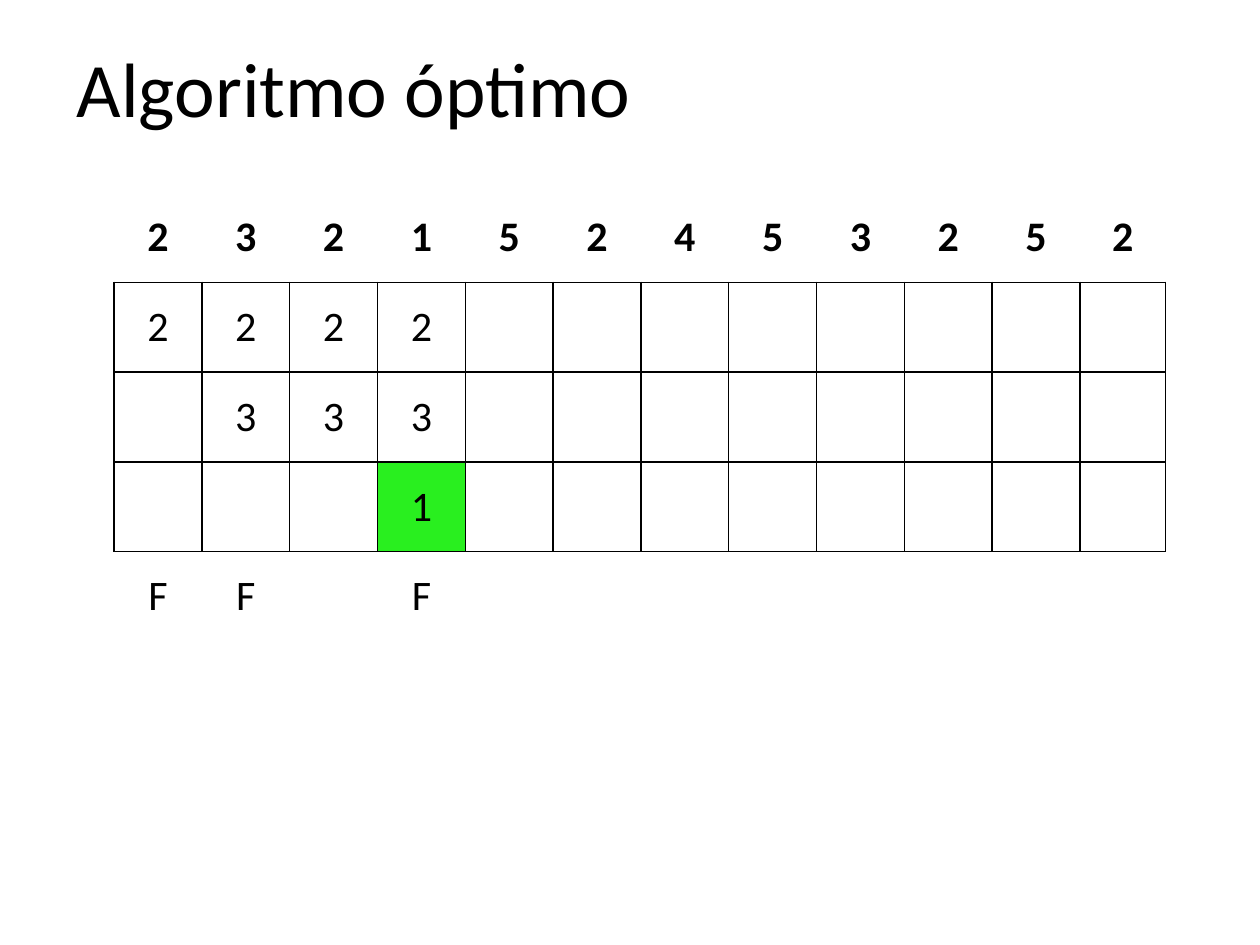
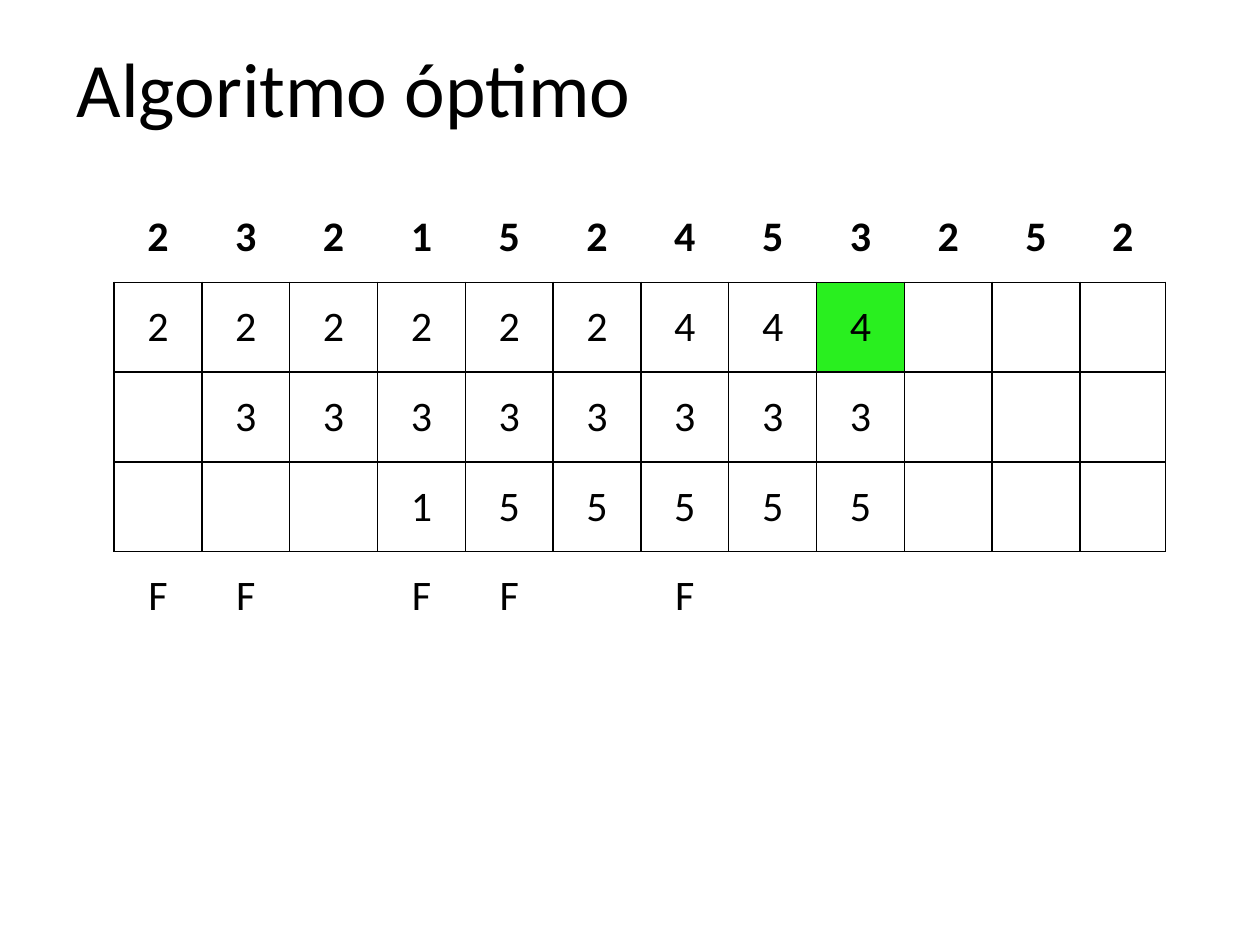
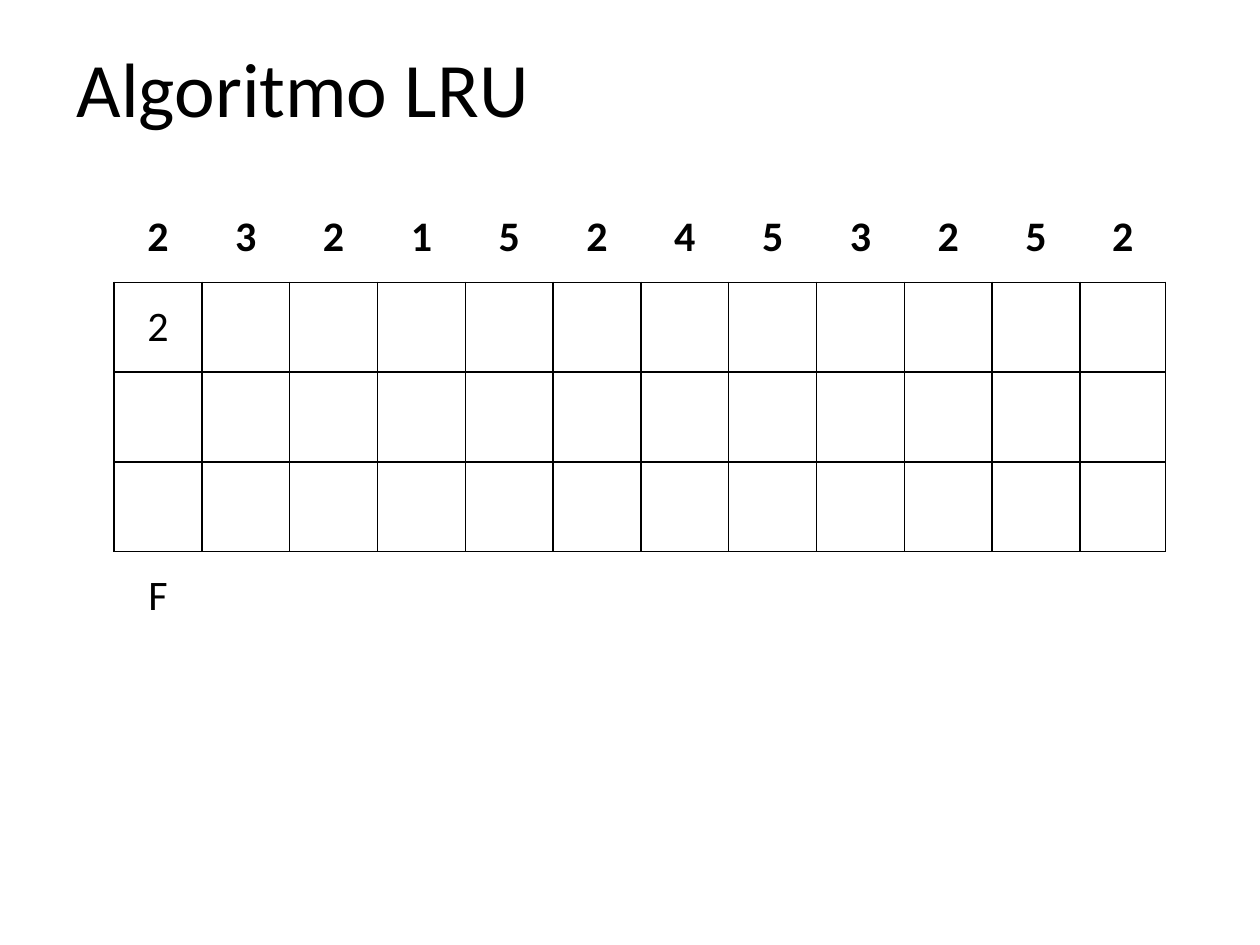
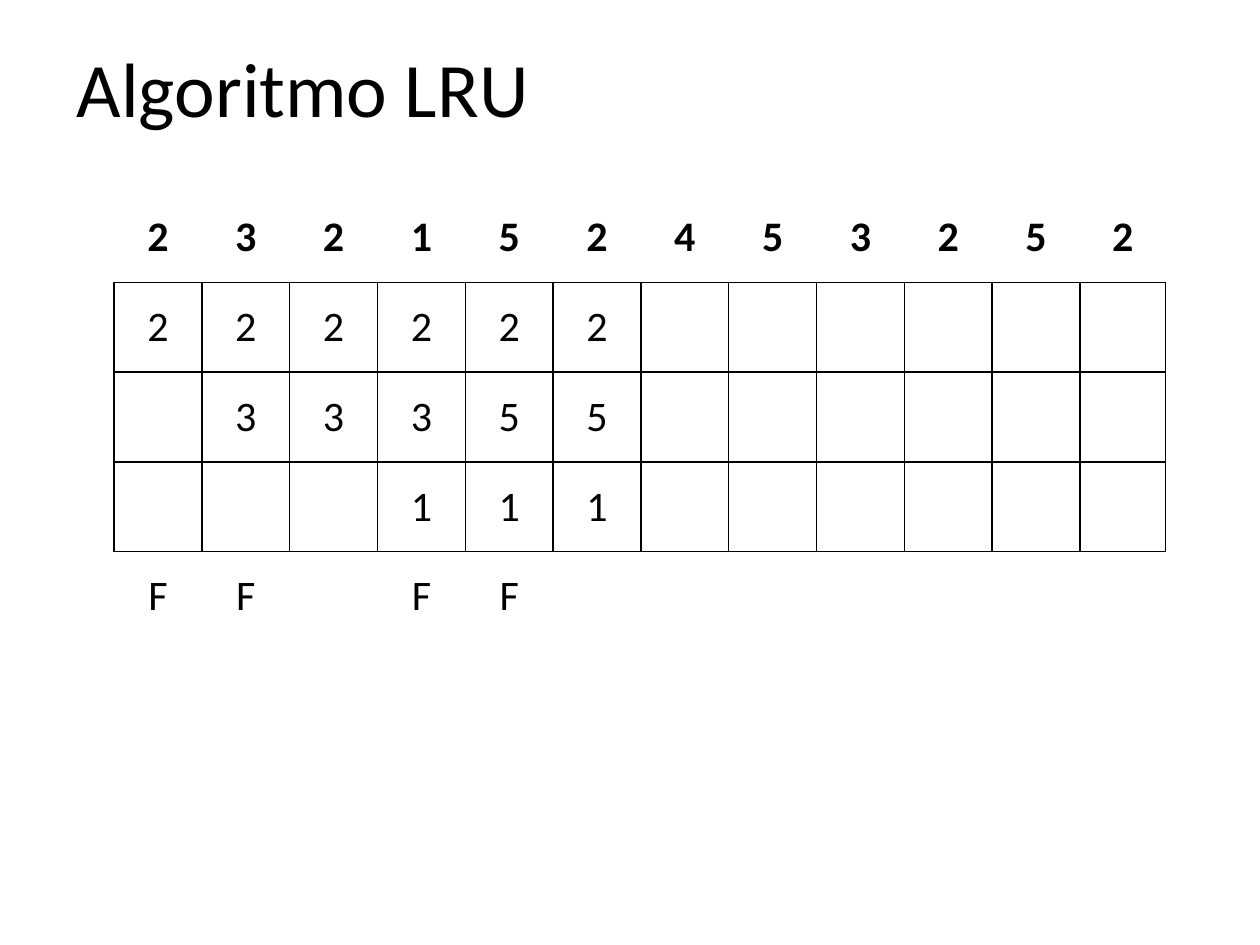
from dataclasses import dataclass

from lxml.etree import SubElement
from pptx import Presentation
from pptx.dml.color import RGBColor
from pptx.enum.text import MSO_ANCHOR, PP_ALIGN
from pptx.oxml.ns import qn
from pptx.util import Cm, Pt


@dataclass(frozen=True)
class Theme:
    font: str = "Calibri"
    ink: str = "000000"
    highlight: str = "29EF1F"
    title_size: int = 44
    cell_size: int = 24
    border_width: int = 1


REFERENCES = "232152453252"
EMPTY = "-"
COLUMN_WIDTH, LAST_COLUMN_WIDTH, ROW_HEIGHT = Cm(1.77), Cm(1.73), Cm(1.81)

# Each step: title, the three frames over time, page faults, highlighted (row, column)
STEPS = [
    ("Algoritmo óptimo", ["2222", "-333", "---1"], "FF-F", (3, 3)),
    ("Algoritmo óptimo", ["222222444", "-33333333", "---155555"], "FF-FF-F", (1, 8)),
    ("Algoritmo LRU", ["2", "", ""], "F", None),
    ("Algoritmo LRU", ["222222", "-33355", "---111"], "FF-FF", None),
]


class Deck:
    def __init__(self, theme):
        self.theme = theme
        self.presentation = Presentation()
        self.presentation.slide_width = Cm(25.4)
        self.presentation.slide_height = Cm(19.05)
        self.slide = None

    def add_slide(self):
        blank = self.presentation.slide_layouts[6]
        self.slide = self.presentation.slides.add_slide(blank)

    def add_text(self, paragraph, text, size, bold=False):
        run = paragraph.add_run()
        run.text = text
        style = {"name": self.theme.font, "size": Pt(size), "bold": bold}
        for attribute, value in style.items():
            setattr(run.font, attribute, value)
        run.font.color.rgb = RGBColor.from_string(self.theme.ink)

    def title(self, text):
        frame = self.slide.shapes.add_textbox(Cm(1.3), Cm(0.74), Cm(12.6), Cm(2)).text_frame
        frame.word_wrap = True
        frame.vertical_anchor = MSO_ANCHOR.MIDDLE
        self.add_text(frame.paragraphs[0], text, self.theme.title_size)

    def border(self, cell, visible_sides):
        properties = cell._tc.get_or_add_tcPr()
        for side in "LRTB":
            width = str(Pt(self.theme.border_width))
            line = SubElement(properties, qn(f"a:ln{side}"), w=width)
            if side in visible_sides:
                fill = SubElement(line, qn("a:solidFill"))
                SubElement(fill, qn("a:srgbClr"), val=self.theme.ink)
            else:
                SubElement(line, qn("a:noFill"))

    def memory_table(self, frames, faults, highlighted):
        """Show references above the bordered memory frames and faults below them."""
        rows = [REFERENCES, *frames, faults]
        column_count, last_row = len(REFERENCES), len(rows) - 1
        width = COLUMN_WIDTH * (column_count - 1) + LAST_COLUMN_WIDTH
        table = self.slide.shapes.add_table(
            len(rows), column_count, Cm(2.3), Cm(3.88), width, ROW_HEIGHT * len(rows)
        ).table
        table.first_row = table.horz_banding = False
        for column in table.columns:
            column.width = COLUMN_WIDTH
        table.columns[column_count - 1].width = LAST_COLUMN_WIDTH

        for row_index, entries in enumerate(rows):
            table.rows[row_index].height = ROW_HEIGHT
            sides = {0: "B", last_row: "T"}.get(row_index, "LRTB")
            for column_index, entry in enumerate(entries.ljust(column_count, EMPTY)):
                cell = table.cell(row_index, column_index)
                cell.vertical_anchor = MSO_ANCHOR.MIDDLE
                self.border(cell, sides)
                if (row_index, column_index) == highlighted:
                    cell.fill.solid()
                    cell.fill.fore_color.rgb = RGBColor.from_string(self.theme.highlight)
                else:
                    cell.fill.background()
                if entry != EMPTY:
                    paragraph = cell.text_frame.paragraphs[0]
                    paragraph.alignment = PP_ALIGN.CENTER
                    self.add_text(paragraph, entry, self.theme.cell_size, bold=row_index == 0)


def main():
    deck = Deck(Theme())
    for title, frames, faults, highlighted in STEPS:
        deck.add_slide()
        deck.title(title)
        deck.memory_table(frames, faults, highlighted)
    deck.presentation.save("out.pptx")


if __name__ == "__main__":
    main()
